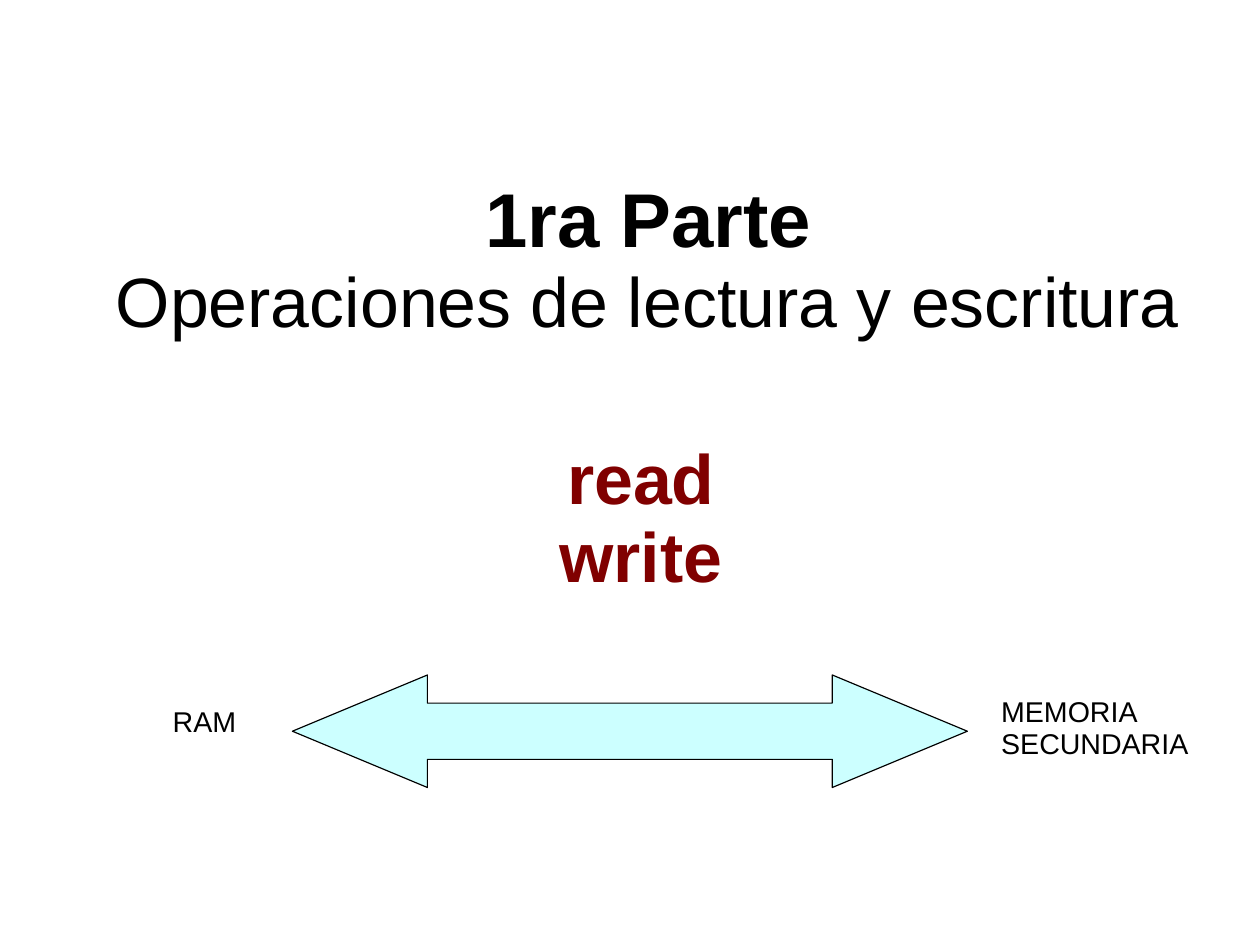
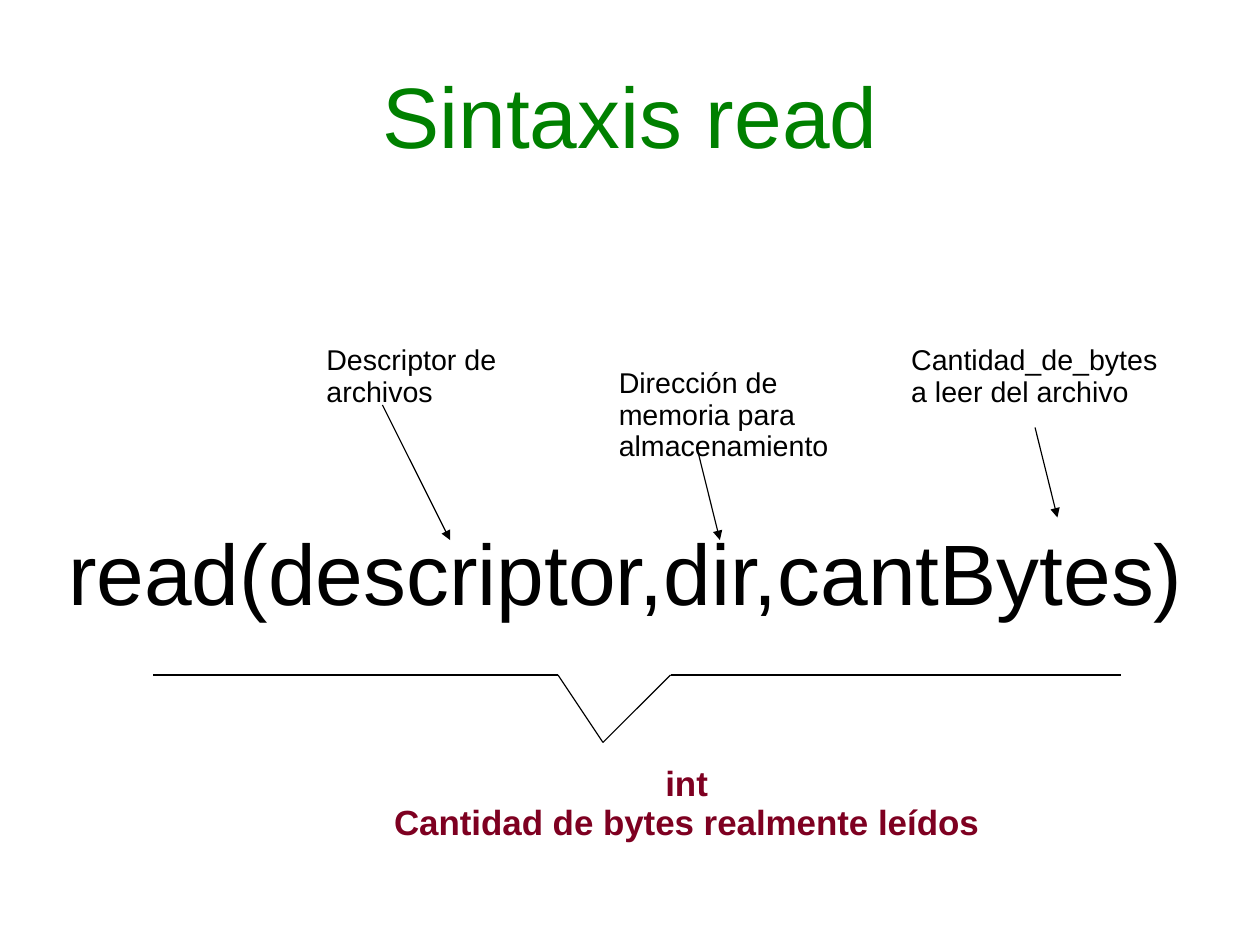
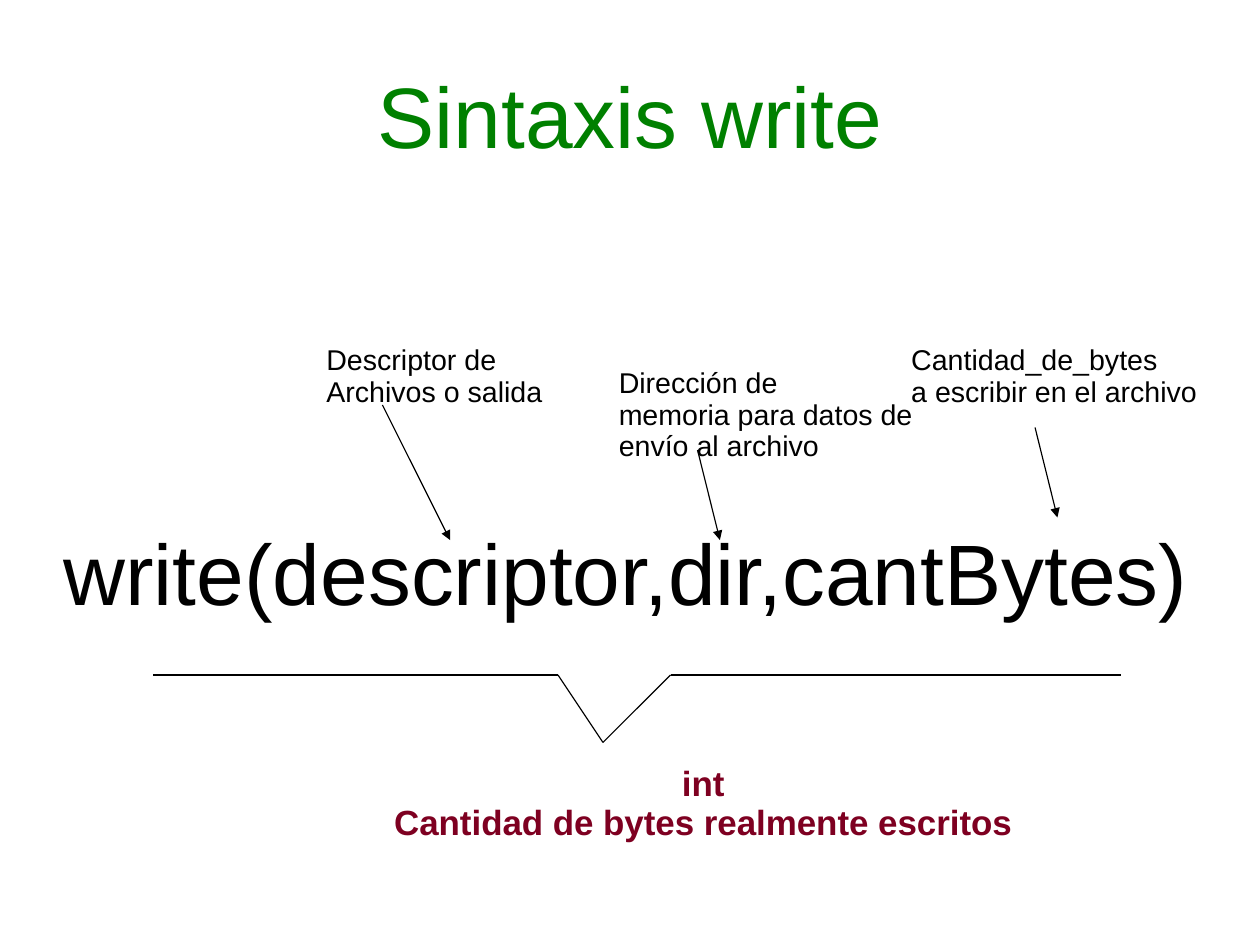
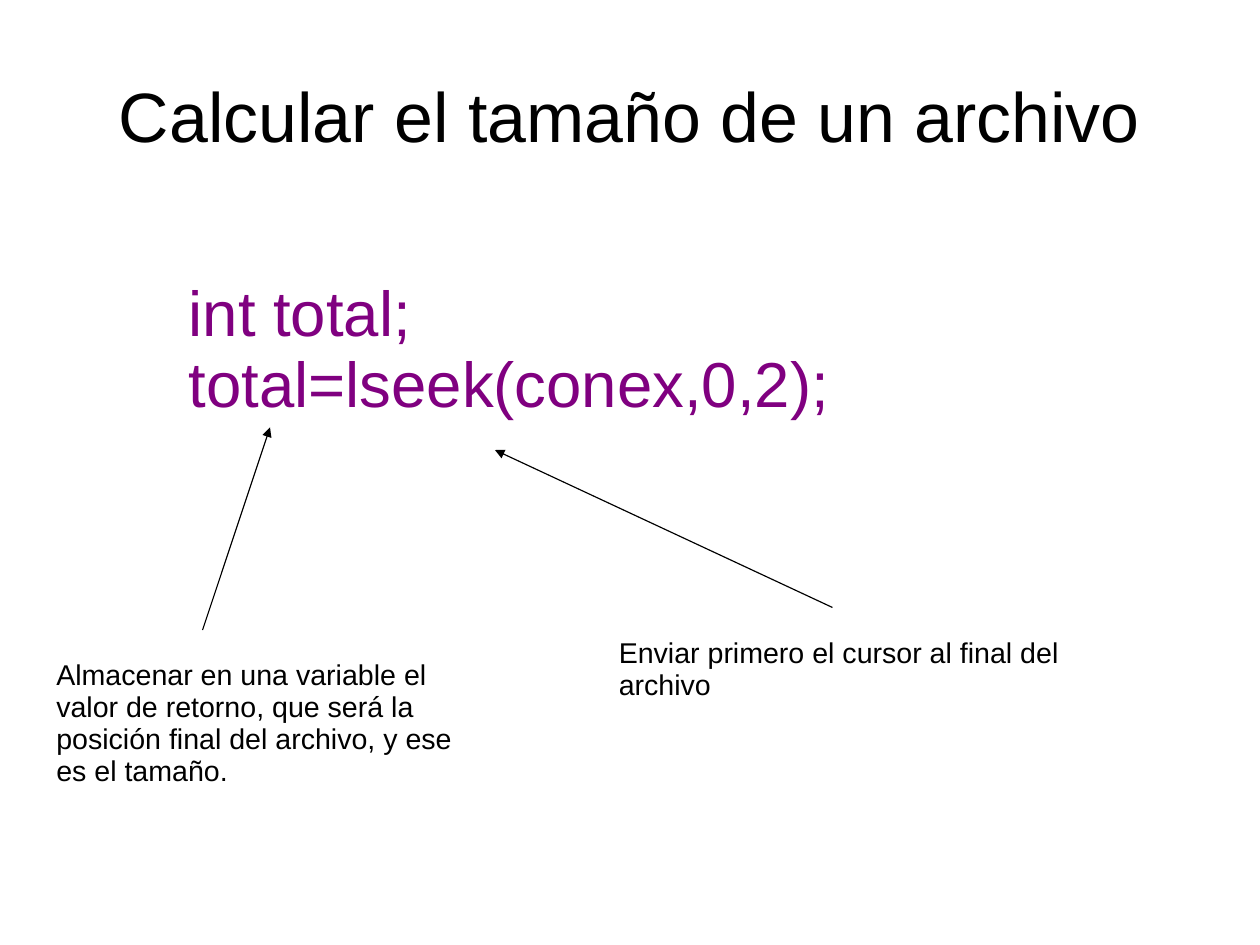
import itertools

import pptx
import pptx.dml.color
import pptx.enum.shapes
import pptx.enum.text
import pptx.oxml.ns
import pptx.util
from lxml import etree

Pt = pptx.util.Pt
ALIGN = pptx.enum.text.PP_ALIGN
ANCHOR = pptx.enum.text.MSO_ANCHOR

SLIDE_SIZE = (793.7, 595.3)
FONT = "Arial"
LINE_SPACING = 0.93
BLACK, WHITE, GREEN, MAROON = "000000", "FFFFFF", "008000", "800000"
WINE, PURPLE, PALE_CYAN = "7E0021", "800080", "CCFFFF"
TITLE_SLIDE, TITLE_ONLY = 0, 5

TITLE_BOX = (39.7, 23.8, 714.3, 99.4)
CALL_BOX = (36.9, 269.3, 714.3, 184.3)

# Boxes are left, top, width, height; arrows are start and end points.
PART = {
    "title": "1ra Parte\vOperaciones de lectura y escritura",
    "title_box": (51.1, 111.4, 714.3, 103),
    "calls": "read\nwrite",
    "calls_box": (198.2, 241.2, 411.1, 169.9),
    "arrow_box": (184.2, 425.2, 425.2, 70.9),
    "ends": [
        ("RAM", (101.7, 440.6, 54, 27.4)),
        ("MEMORIA\nSECUNDARIA", (623.6, 434.2, 132.5, 47.5)),
    ],
}

ARGUMENT_POSITIONS = [(198.5, 212.4), (382.7, 226.6), (566.9, 212.4)]
ARGUMENT_ARROWS = [
    ((240.9, 255.1), (283.5, 340.2)),
    ((439.4, 283.5), (453.5, 340.2)),
    ((652, 269.3), (666.1, 326)),
]
BRACE = [(96.4, 425.2), (351.5, 425.2), (379.8, 467.7), (422.4, 425.2), (706.2, 425.2)]
RESULT_POSITION = (241, 477.1)
RESULT_HEIGHT = 57.6

# Each argument and the result: text, box width.
SYNTAX = [
    {
        "title": "Sintaxis read",
        "call": "read(descriptor,dir,cantBytes)",
        "arguments": [
            ("Descriptor de\narchivos", 121),
            ("Dirección de\nmemoria para\nalmacenamiento", 146.2),
            ("Cantidad_de_bytes\na leer del archivo", 168.5),
        ],
        "result": ("int\nCantidad de bytes realmente leídos", 383),
    },
    {
        "title": "Sintaxis write",
        "call": "write(descriptor,dir,cantBytes)",
        "arguments": [
            ("Descriptor de\nArchivos o salida", 149.8),
            ("Dirección de\nmemoria para datos de\nenvío al archivo", 198.7),
            ("Cantidad_de_bytes\na escribir en el archivo", 193.7),
        ],
        "result": ("int\nCantidad de bytes realmente escritos", 403.9),
    },
]

FILE_SIZE = {
    "title": "Calcular el tamaño de un archivo",
    "code": "int total;\ntotal=lseek(conex,0,2);",
    "code_box": (111.8, 169.9, 417.6, 96.5),
    "notes": [
        ("Enviar primero el cursor al final del archivo", (382.7, 396.7, 341.3, 47.5)),
        ("Almacenar en una variable el valor de retorno, que será la posición "
         "final del archivo, y ese es el tamaño.", (28.4, 410.9, 269.3, 87.8)),
    ],
    "arrows": [((524.4, 382.7), (311.8, 283.5)), ((127.6, 396.9), (170.1, 269.3))],
}


def rgb(value):
    return pptx.dml.color.RGBColor.from_string(value)


def paint(shape, color):
    shape.fill.solid()
    shape.fill.fore_color.rgb = rgb(color)


def write(frame, text, size, color, bold, align, insets, anchor, wrap):
    frame.text = text
    frame.word_wrap = wrap
    frame.auto_size = pptx.enum.text.MSO_AUTO_SIZE.NONE
    frame.vertical_anchor = anchor
    frame.margin_left, frame.margin_top, frame.margin_right, frame.margin_bottom = map(Pt, insets)
    for paragraph in frame.paragraphs:
        paragraph.alignment = align
        paragraph.line_spacing = LINE_SPACING
        paragraph.space_before = Pt(0)
        for run in paragraph.runs:
            run.font.name = FONT
            run.font.size = Pt(size)
            run.font.bold = bold
            run.font.color.rgb = rgb(color)


def fill_placeholder(placeholder, text, box, size, color, bold=False):
    placeholder.left, placeholder.top, placeholder.width, placeholder.height = map(Pt, box)
    write(placeholder.text_frame, text, size, color, bold, ALIGN.CENTER,
          (0, 3.6, 0, 0), ANCHOR.MIDDLE, True)


def fill_calls(slide, text, box, size, color, bold=False):
    """Write the function calls in the subtitle, on a white panel."""
    calls = slide.placeholders[1]
    fill_placeholder(calls, text, box, size, color, bold)
    paint(calls, WHITE)


def add_label(slide, text, box, size=18, color=BLACK, bold=False,
              align=ALIGN.LEFT, top_inset=5, wrap=False):
    frame = slide.shapes.add_textbox(*map(Pt, box)).text_frame
    write(frame, text, size, color, bold, align,
          (7.1, top_inset, 7.1, 3.6), ANCHOR.TOP, wrap)


def add_line(slide, start, end, arrowhead=False):
    connector = slide.shapes.add_connector(
        pptx.enum.shapes.MSO_CONNECTOR.STRAIGHT, *map(Pt, start + end))
    connector.line.color.rgb = rgb(BLACK)
    connector.line.width = Pt(0.75)
    qn = pptx.oxml.ns.qn
    properties = connector._element.spPr
    if arrowhead:
        etree.SubElement(properties.find(qn("a:ln")), qn("a:tailEnd"), type="triangle")
    etree.SubElement(properties, qn("a:effectLst"))


def add_slide(deck, layout):
    return deck.slides.add_slide(deck.slide_layouts[layout])


def build_part(deck):
    slide = add_slide(deck, TITLE_SLIDE)
    title = slide.shapes.title
    fill_placeholder(title, PART["title"], PART["title_box"], 44, BLACK)
    heading = title.text_frame.paragraphs[0].runs[0]
    heading.font.size = Pt(48)
    heading.font.bold = True
    fill_calls(slide, PART["calls"], PART["calls_box"], 44, MAROON, True)

    arrow = slide.shapes.add_shape(
        pptx.enum.shapes.MSO_SHAPE.LEFT_RIGHT_ARROW, *map(Pt, PART["arrow_box"]))
    arrow.adjustments[0] = 0.5
    arrow.adjustments[1] = 1.2
    arrow.shadow.inherit = False
    paint(arrow, PALE_CYAN)
    arrow.line.color.rgb = rgb(BLACK)
    arrow.line.width = Pt(0.75)
    for text, box in PART["ends"]:
        add_label(slide, text, box)


def build_syntax(deck, syntax):
    slide = add_slide(deck, TITLE_SLIDE)
    fill_placeholder(slide.shapes.title, syntax["title"], TITLE_BOX, 54, GREEN)
    fill_calls(slide, syntax["call"], CALL_BOX, 54, BLACK)
    for (text, width), position, arrow in zip(
            syntax["arguments"], ARGUMENT_POSITIONS, ARGUMENT_ARROWS):
        height = 8 + 20 * len(text.splitlines())
        add_label(slide, text, position + (width, height))
        add_line(slide, *arrow, arrowhead=True)
    for start, end in itertools.pairwise(BRACE):
        add_line(slide, start, end)
    result, width = syntax["result"]
    add_label(slide, result, RESULT_POSITION + (width, RESULT_HEIGHT),
              22, WINE, True, ALIGN.CENTER)


def build_file_size(deck):
    slide = add_slide(deck, TITLE_ONLY)
    fill_placeholder(slide.shapes.title, FILE_SIZE["title"], TITLE_BOX, 44, BLACK)
    add_label(slide, FILE_SIZE["code"], FILE_SIZE["code_box"], 40, PURPLE, top_inset=6.5)
    for (text, box), arrow in zip(FILE_SIZE["notes"], FILE_SIZE["arrows"]):
        add_line(slide, *arrow, arrowhead=True)
        add_label(slide, text, box, wrap=True)


def main():
    deck = pptx.Presentation()
    deck.slide_width, deck.slide_height = map(Pt, SLIDE_SIZE)
    build_part(deck)
    for syntax in SYNTAX:
        build_syntax(deck, syntax)
    build_file_size(deck)
    deck.save("out.pptx")


if __name__ == "__main__":
    main()
